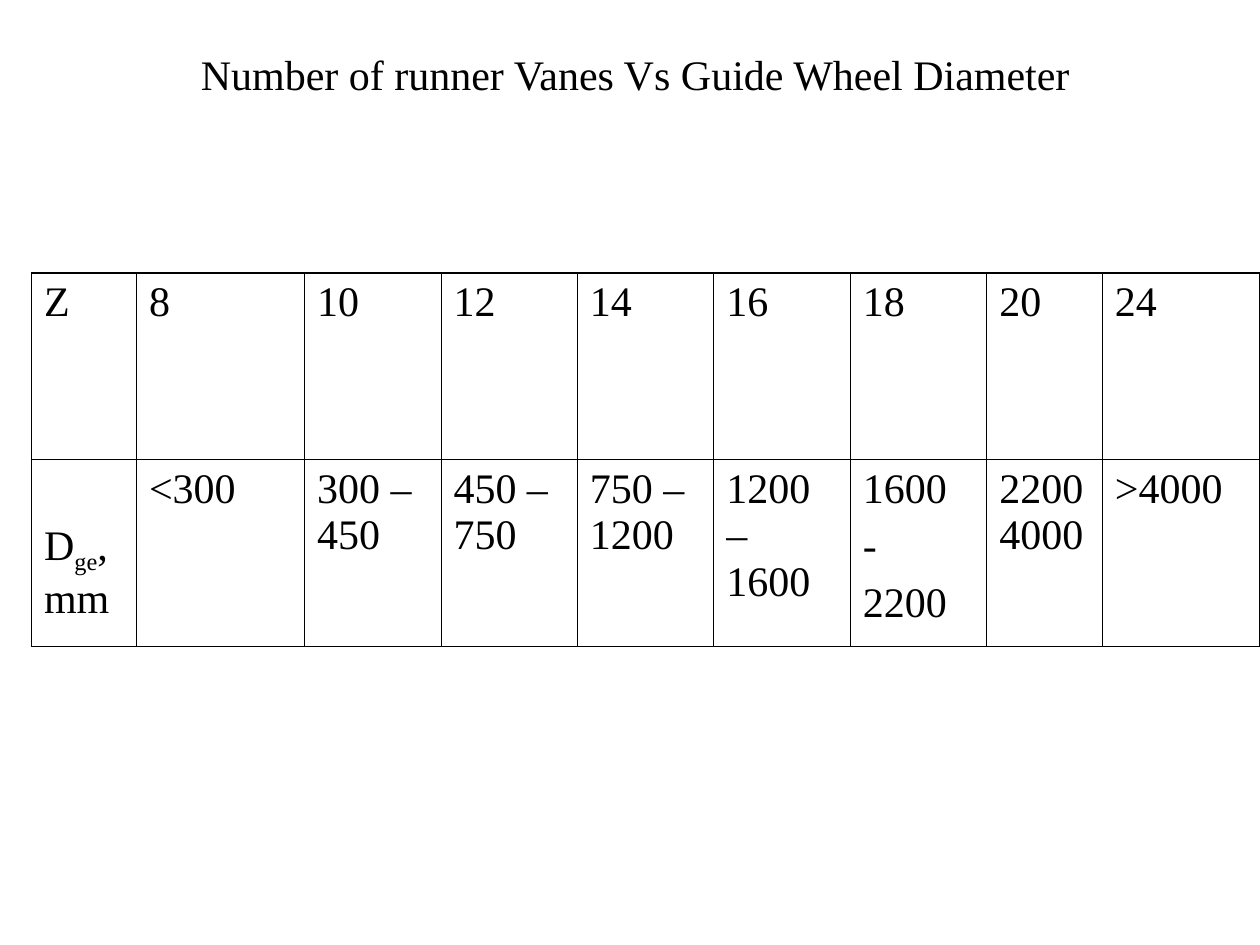
from dataclasses import dataclass

from lxml import etree
from pptx import Presentation
from pptx.dml.color import RGBColor
from pptx.enum.text import MSO_ANCHOR, MSO_AUTO_SIZE, PP_ALIGN
from pptx.oxml.ns import qn
from pptx.util import Pt

CENTER, LEFT = PP_ALIGN.CENTER, PP_ALIGN.LEFT
MIDDLE, TOP = MSO_ANCHOR.MIDDLE, MSO_ANCHOR.TOP
NO_AUTOFIT = MSO_AUTO_SIZE.NONE

BLACK = RGBColor(0x00, 0x00, 0x00)
WHITE = RGBColor(0xFF, 0xFF, 0xFF)
FONT = "Times New Roman"
FONT_SIZE = 24
OUTER_LINE, INNER_LINE = 1.08, 0.45
TITLE_ONLY_LAYOUT = 5

COLUMN_WIDTHS = [60, 96, 78, 78, 78, 78, 78, 66, 90]
ROW_HEIGHT = 106.7


@dataclass(frozen=True)
class Run:
    text: str
    baseline: int = 0


@dataclass(frozen=True)
class CellContent:
    paragraphs: tuple[tuple[Run, ...], ...]
    top_margin: float = 3.6


def plain(*lines: str) -> CellContent:
    return CellContent(tuple((Run(line),) for line in lines))


VANE_COUNTS = [plain(text) for text in ("Z", "8", "10", "12", "14", "16", "18", "20", "24")]
DIAMETERS = [
    CellContent(((Run("D"), Run("ge", baseline=-25000), Run(",mm")),), top_margin=36.2),
    plain("<300"),
    plain("300 – 450"),
    plain("450 – 750"),
    plain("750 – 1200"),
    plain("1200 – 1600"),
    plain("1600", "-", "2200"),
    plain("2200 4000"),
    plain(">4000"),
]


def write_text(text_frame, paragraphs, *, alignment=LEFT, size: float = FONT_SIZE,
               color: RGBColor = BLACK, space_before: float = 0) -> None:
    for index, runs in enumerate(paragraphs):
        paragraph = text_frame.paragraphs[0] if index == 0 else text_frame.add_paragraph()
        paragraph.alignment = alignment
        paragraph.space_before = Pt(space_before if index else 0)
        for part in runs:
            run = paragraph.add_run()
            run.text = part.text
            run.font.name = FONT
            run.font.size = Pt(size)
            run.font.color.rgb = color
            if part.baseline:
                run._r.get_or_add_rPr().set("baseline", str(part.baseline))


def set_borders(cell, widths: dict[str, float]) -> None:
    properties = cell._tc.get_or_add_tcPr()
    for side, width in widths.items():
        line = etree.SubElement(properties, qn(f"a:ln{side}"), w=str(int(Pt(width))))
        fill = etree.SubElement(line, qn("a:solidFill"))
        etree.SubElement(fill, qn("a:srgbClr"), val=str(BLACK))


def add_title(slide, text: str) -> None:
    title = slide.shapes.title
    title.left, title.top, title.width, title.height = Pt(24), Pt(24), Pt(678), Pt(36)
    title.text_frame.auto_size = NO_AUTOFIT
    title.text_frame.vertical_anchor = MIDDLE
    write_text(title.text_frame, [[Run(text)]], alignment=CENTER)


def add_vane_table(slide, rows: list[list[CellContent]]) -> None:
    last_row, last_column = len(rows) - 1, len(COLUMN_WIDTHS) - 1
    table = slide.shapes.add_table(
        len(rows), len(COLUMN_WIDTHS), Pt(18), Pt(156),
        Pt(sum(COLUMN_WIDTHS)), Pt(ROW_HEIGHT * len(rows))).table
    table.first_row = table.horz_banding = False
    for column, width in zip(table.columns, COLUMN_WIDTHS):
        column.width = Pt(width)

    for row_index, contents in enumerate(rows):
        table.rows[row_index].height = Pt(ROW_HEIGHT)
        for column_index, content in enumerate(contents):
            cell = table.cell(row_index, column_index)
            cell.margin_left = cell.margin_right = Pt(7.2)
            cell.margin_top, cell.margin_bottom = Pt(content.top_margin), Pt(3.6)
            cell.vertical_anchor = TOP
            # The frame of the table is heavier than its inner grid
            on_frame = {"L": column_index == 0, "R": column_index == last_column,
                        "T": row_index == 0, "B": row_index == last_row}
            set_borders(cell, {side: OUTER_LINE if outer else INNER_LINE
                               for side, outer in on_frame.items()})
            cell.fill.solid()
            cell.fill.fore_color.rgb = WHITE
            write_text(cell.text_frame, content.paragraphs, space_before=6)


def main() -> None:
    presentation = Presentation()
    presentation.slide_width, presentation.slide_height = Pt(720), Pt(540)
    slide = presentation.slides.add_slide(presentation.slide_layouts[TITLE_ONLY_LAYOUT])
    add_title(slide, "Number of runner Vanes Vs Guide Wheel Diameter")
    add_vane_table(slide, [VANE_COUNTS, DIAMETERS])
    presentation.save("out.pptx")


if __name__ == "__main__":
    main()
